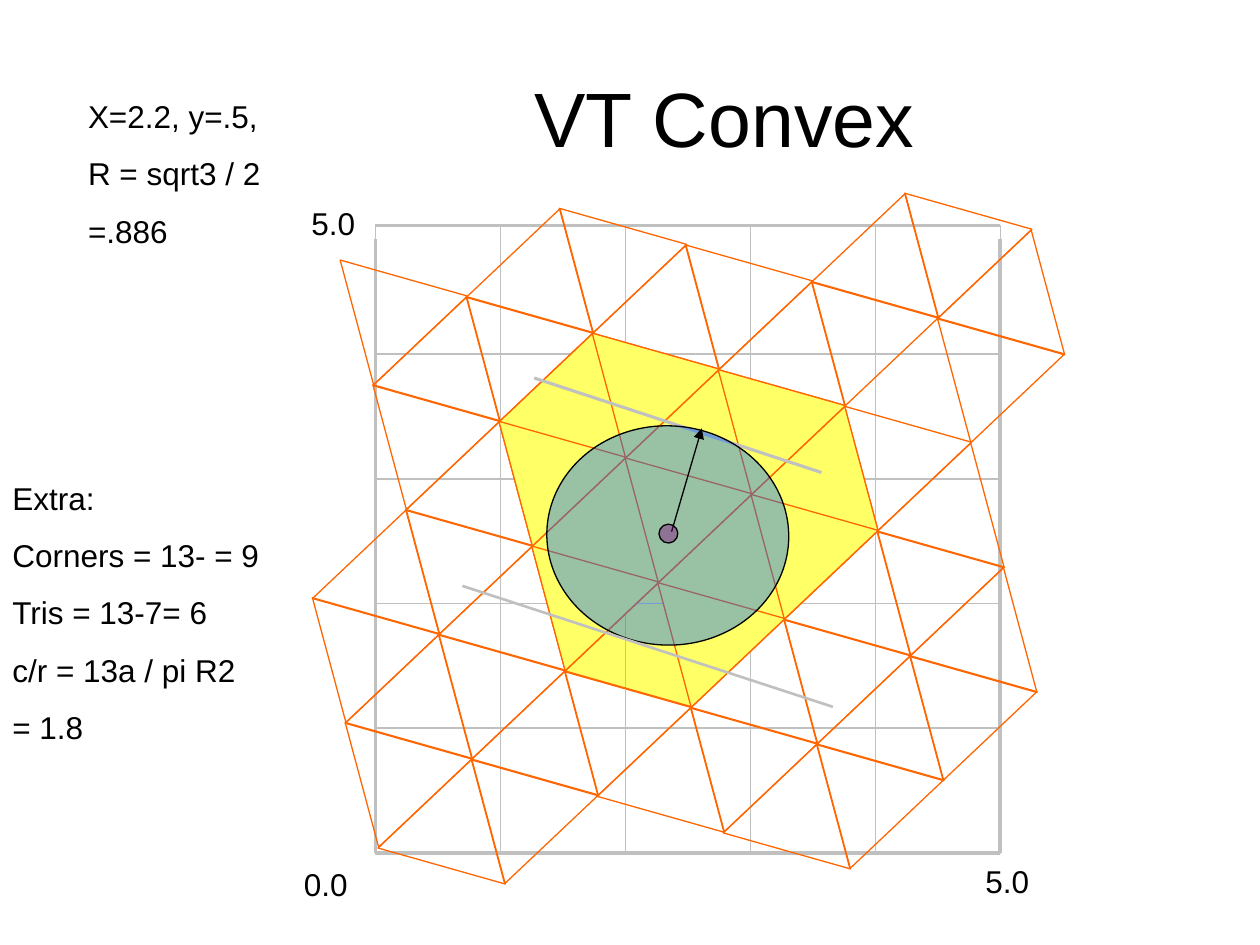
from lxml import etree
from pptx import Presentation
from pptx.dml.color import RGBColor
from pptx.enum.shapes import MSO_CONNECTOR, MSO_SHAPE
from pptx.enum.text import MSO_ANCHOR, PP_ALIGN
from pptx.oxml.ns import qn
from pptx.util import Inches, Pt

RECT, OVAL, TRI = MSO_SHAPE.RECTANGLE, MSO_SHAPE.OVAL, MSO_SHAPE.ISOSCELES_TRIANGLE
LINE = MSO_CONNECTOR.STRAIGHT
LEFT, MID = PP_ALIGN.LEFT, PP_ALIGN.CENTER
FONT = "Arial"
HUE = {"ink": "000000", "grid": "C0C0C0", "edge": "FF6600",
       "core": "FFFF66", "disc": "0066FF", "dot": "800080"}

# Triangle lattice: steps along a row and to the next row, inches
ALONG, DOWN, FLIP = (1, 0.29), (0.26, 0.99), (0.5, 0.14)
TURN = 15.8
# Row number -> columns, for triangles pointing up and down
UP = {-2: (3, 4), -1: (0, 1, 2), 0: (-1, 0, 2, 3), 1: (-1, 1, 2, 3),
      2: (-2, -1, 1, 2), 3: (-2, -1, 0, 1), 4: (-2,)}
LOW = {-2: (3,), -1: (0, 1, 2, 3), 0: (-2, -1, 0, 1, 2), 1: (-2, -1, 1, 2),
       2: (-2, -1, 1, 2), 3: (-3, -2, -1, 0, 1), 4: (-3, -2)}
CORE_UP = {0: (0, 1, 2), 1: (0, 1)}
CORE_LOW = {0: (0, 1), 1: (-1, 0, 1), 2: (-1, 0)}
CORE_TIP = {2: (0,)}


def color(name):
    return RGBColor.from_string(HUE[name])


def shape(slide, kind, box, line, fill=None, alpha=None, turn=0):
    item = slide.shapes.add_shape(kind, *map(Inches, box))
    item.shadow.inherit = False
    item.rotation = turn
    item.line.color.rgb = color(line)
    item.line.width = Pt(0.75)
    if fill is None:
        item.fill.background()
        return
    item.fill.solid()
    item.fill.fore_color.rgb = color(fill)
    if alpha:
        tone = item.fill._xPr.find(qn("a:solidFill"))[0]
        etree.SubElement(tone, qn("a:alpha"), val=str(alpha * 1000))


def line(slide, start, end, hue, width, arrow=False):
    item = slide.shapes.add_connector(LINE, *map(Inches, (*start, *end)))
    item.line.color.rgb = color(hue)
    item.line.width = Pt(width)
    if arrow:
        etree.SubElement(item.line._get_or_add_ln(), qn("a:tailEnd"), type="triangle")
    etree.SubElement(item._element.spPr, qn("a:effectLst"))


def write(frame, text, size=18, align=LEFT, before=11.2, anchor=MSO_ANCHOR.TOP):
    frame.word_wrap = True
    frame.vertical_anchor = anchor
    frame.text = text
    for para in frame.paragraphs:
        para.alignment = align
        para.space_before = Pt(before)
        font = para.font
        font.name, font.size = FONT, Pt(size)
        font.color.rgb = color("ink")


def note(slide, box, text, **form):
    write(slide.shapes.add_textbox(*map(Inches, box)).text_frame, text, **form)


def title(slide, box, text):
    head = slide.shapes.title
    head.left, head.top, head.width, head.height = map(Inches, box)
    write(head.text_frame, text, size=44, align=MID, before=0, anchor=MSO_ANCHOR.MIDDLE)


def grid(slide, box, count=5, step=0.99):
    x, y, w, h = box
    cols = [x + w * n / count for n in range(count + 1)]
    rows = [y] + [y + h - step * n for n in range(count - 1, -1, -1)]
    for r in range(count):
        for c in range(count):
            if c == 2 and r in (1, 2):  # open cells under the core
                continue
            shape(slide, RECT, (cols[c], rows[r], cols[c + 1] - cols[c],
                                rows[r + 1] - rows[r]), "grid")
    for n in range(count + 1):
        width = 2.25 if n in (0, count) else 1
        line(slide, (x, rows[n]), (x + w, rows[n]), "grid", width)
        line(slide, (cols[n], y + 0.11), (cols[n], y + h), "grid", width)


def mesh(slide, box, cells, low=False, fill=None):
    x, y, w, h = box
    if low:
        x, y = x + FLIP[0], y + FLIP[1]
    for row, cols in cells.items():
        for col in cols:
            spot = (x + col * ALONG[0] + row * DOWN[0],
                    y + col * ALONG[1] + row * DOWN[1], w, h)
            shape(slide, TRI, spot, "edge", fill, turn=TURN + 180 * low)


def disc(slide, box):
    x, y, w, h = box
    line(slide, (x + 2.18, y + 0.37), (x - 0.1, y - 0.38), "grid", 1.75)
    shape(slide, OVAL, (x, y, w, h), "ink", "disc", 40, 2.5)
    line(slide, (x + 0.99, y + 0.84), (x + 1.23, y + 0.02), "ink", 0.75, arrow=True)
    line(slide, (x + 2.27, y + 2.23), (x - 0.67, y + 1.27), "grid", 1.5)
    shape(slide, OVAL, (x + 0.89, y + 0.78, 0.15, 0.15), "ink", "dot", 40, 58)


def main():
    deck = Presentation()
    deck.slide_width, deck.slide_height = Inches(10), Inches(7.5)
    slide = deck.slides.add_slide(deck.slide_layouts[5])

    # Grid and triangle mesh; the lowest core tile lies under the grid
    cell = (4.06, 2.63, 1.05, 0.88)
    mesh(slide, cell, CORE_TIP, fill="core")
    grid(slide, (2.98, 1.79, 4.96, 4.98))
    mesh(slide, cell, UP)
    mesh(slide, cell, LOW, low=True)
    mesh(slide, cell, CORE_UP, fill="core")
    mesh(slide, cell, CORE_LOW, low=True, fill="core")

    # Circle with its radius and bounds
    disc(slide, (4.34, 3.38, 1.92, 1.74))

    # Title, notes and axis labels
    title(slide, (1.25, 0.3, 9, 1.25), "VT Convex")
    note(slide, (0.6, 0.72, 1.62, 1.32), "X=2.2, y=.5,\nR = sqrt3 / 2\n=.886")
    note(slide, (0, 3.75, 2.66, 2.68),
         "Extra:\nCorners = 13- = 9\nTris = 13-7= 6\nc/r = 13a / pi R2\n= 1.8")
    for x, y, text in ((2.03, 6.82, "0.0"), (2.09, 1.57, "5.0"), (7.44, 6.79, "5.0")):
        note(slide, (x, y, 1.11, 0.4), text, align=MID)

    deck.save("out.pptx")


if __name__ == "__main__":
    main()
